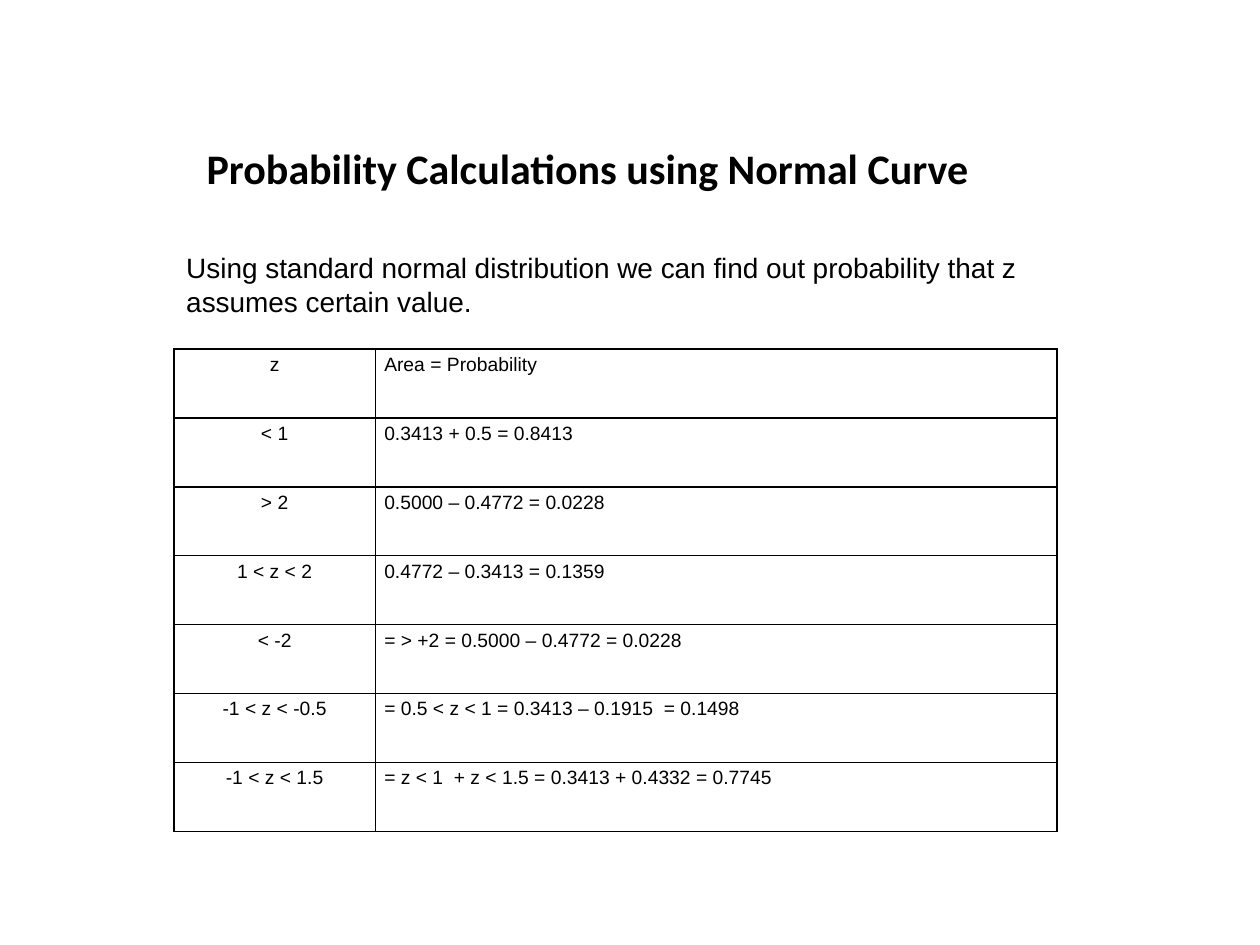
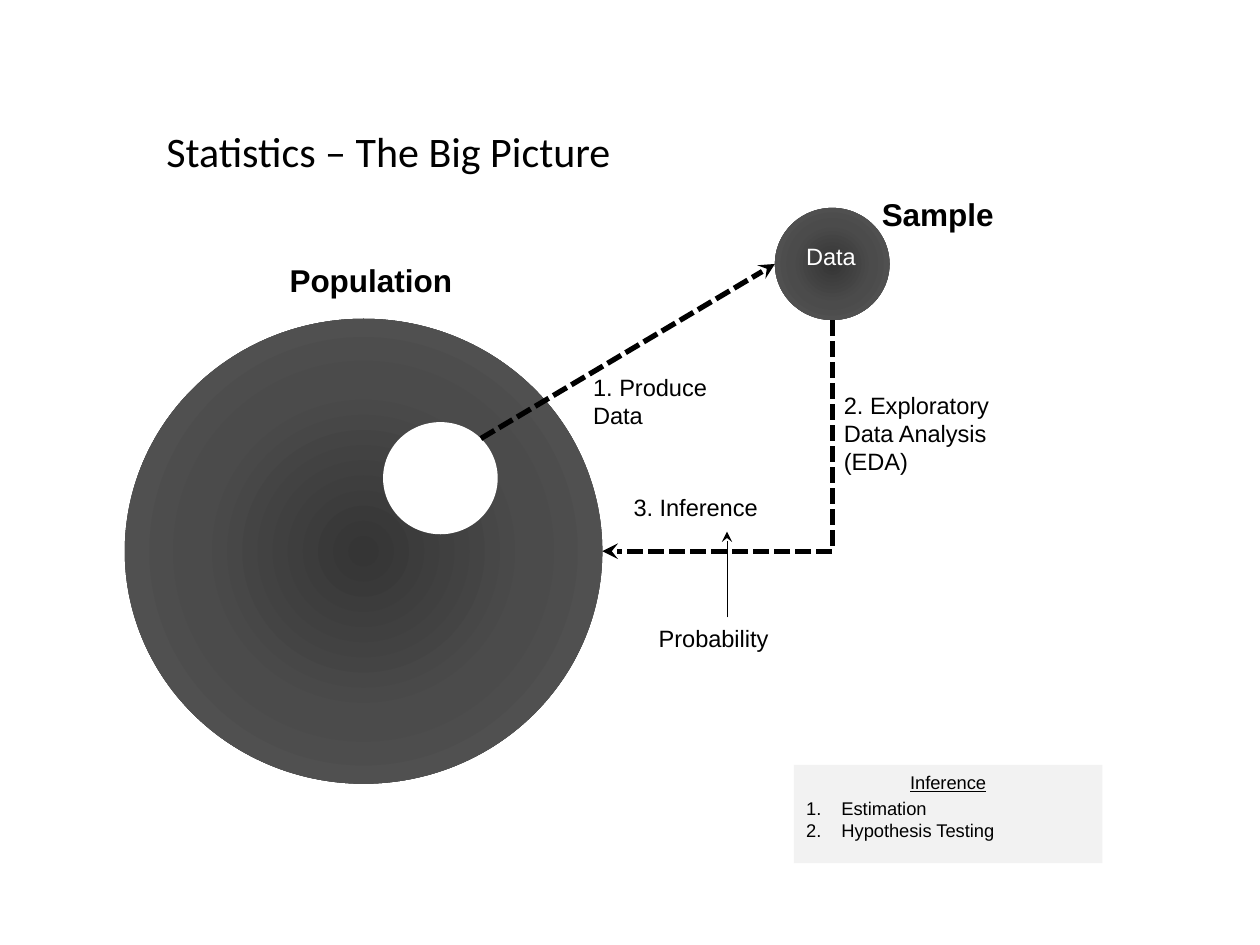
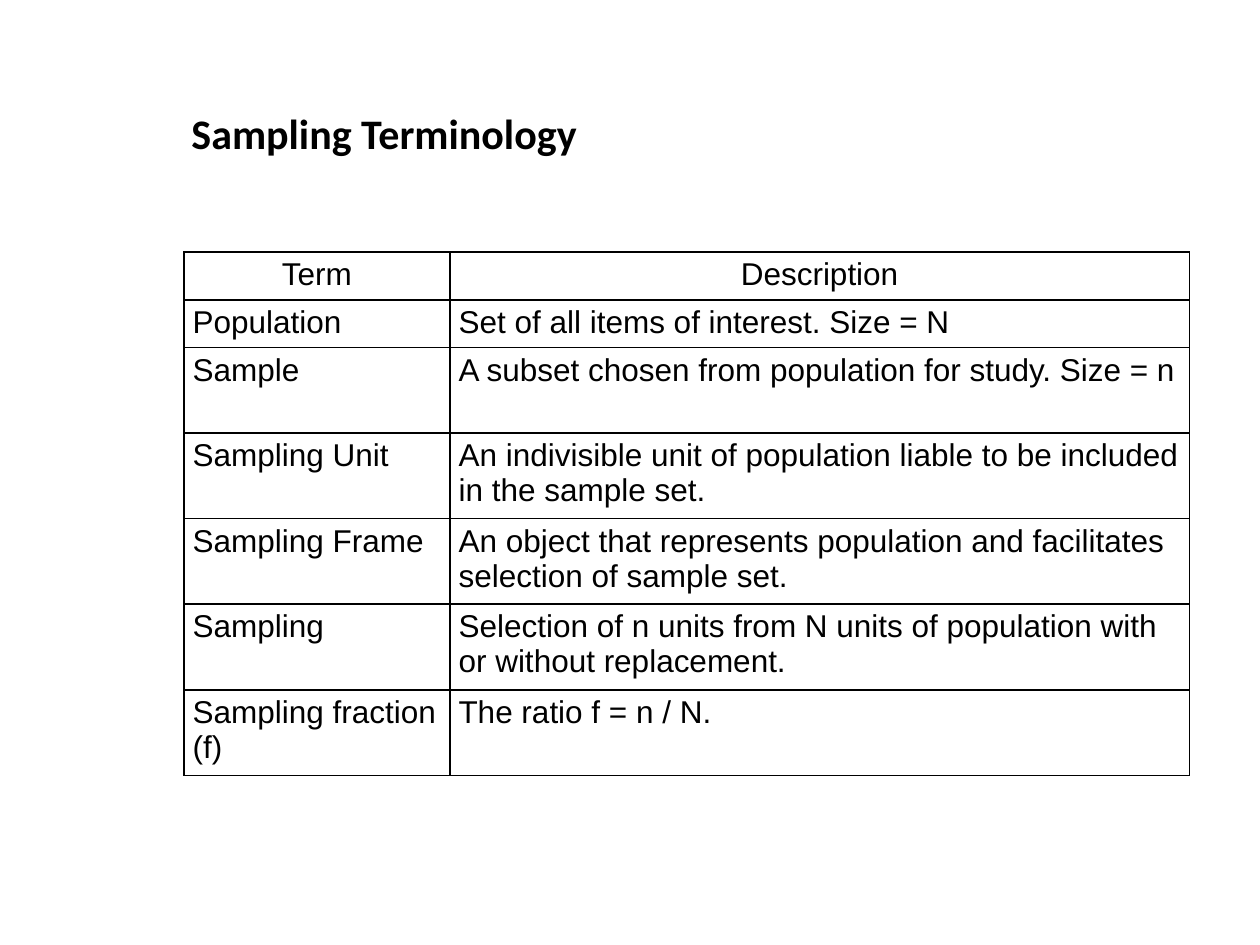
import dataclasses
import math

import lxml.etree
import pptx
import pptx.dml.color
import pptx.enum.dml
import pptx.enum.shapes
import pptx.enum.text
import pptx.oxml.ns
import pptx.util

COLUMNS, ROWS = 100, 75
SLIDE_WIDTH, SLIDE_HEIGHT = pptx.util.Inches(10), pptx.util.Inches(7.5)

BLACK = pptx.dml.color.RGBColor(0x00, 0x00, 0x00)
WHITE = pptx.dml.color.RGBColor(0xFF, 0xFF, 0xFF)
PALE_GREY = pptx.dml.color.RGBColor(0xF2, 0xF2, 0xF2)
SPHERE_STOPS = (
    (0, pptx.dml.color.RGBColor(0x35, 0x35, 0x35)),
    (50, pptx.dml.color.RGBColor(0x4B, 0x4B, 0x4B)),
    (100, pptx.dml.color.RGBColor(0x59, 0x59, 0x59)),
)

TITLE_FONT, BODY_FONT = "Calibri", "Arial"
TITLE_SIZE, NAME_SIZE, LABEL_SIZE, NOTE_SIZE = 24, 18, 13.5, 10.5
DEFAULT_INSETS, TIGHT_INSETS = (0.1, 0.05), (0.07, 0.04)
CENTER = pptx.enum.text.PP_ALIGN.CENTER
LEFT = pptx.enum.text.PP_ALIGN.LEFT
OVAL = pptx.enum.shapes.MSO_SHAPE.OVAL

PROBABILITIES = (
    ("z", "Area = Probability"),
    ("< 1", "0.3413 + 0.5 = 0.8413"),
    ("> 2", "0.5000 – 0.4772 = 0.0228"),
    ("1 < z < 2", "0.4772 – 0.3413 = 0.1359"),
    ("< -2", "= > +2 = 0.5000 – 0.4772 = 0.0228"),
    ("-1 < z < -0.5", "= 0.5 < z < 1 = 0.3413 – 0.1915  = 0.1498"),
    ("-1 < z < 1.5", "= z < 1  + z < 1.5 = 0.3413 + 0.4332 = 0.7745"),
)
TERMS = (
    ("Term", "Description"),
    ("Population", "Set of all items of interest. Size = N"),
    ("Sample", "A subset chosen from population for study. Size = n"),
    ("Sampling Unit", "An indivisible unit of population liable to be included in the sample set."),
    ("Sampling Frame", "An object that represents population and facilitates selection of sample set."),
    ("Sampling", "Selection of n units from N units of population with or without replacement."),
    ("Sampling fraction (f)", "The ratio f = n / N."),
)


def across(columns):
    return round(SLIDE_WIDTH * columns / COLUMNS)


def down(rows):
    return round(SLIDE_HEIGHT * rows / ROWS)


@dataclasses.dataclass
class Box:
    """A region of the slide grid, in columns and rows."""
    left: float
    top: float
    width: float
    height: float

    def inside(self, left, top, width, height):
        return Box(self.left + left, self.top + top, width, height)

    def edge(self, degrees):
        """Point on the inscribed ellipse, counted clockwise from the right."""
        angle = math.radians(degrees)
        return (self.left + self.width / 2 * (1 + math.cos(angle)),
                self.top + self.height / 2 * (1 + math.sin(angle)))

    def lengths(self):
        return across(self.left), down(self.top), across(self.width), down(self.height)


def write(frame, text, size=LABEL_SIZE, font=BODY_FONT, color=BLACK, bold=False,
          underline=False, align=LEFT, line_spacing=None, space_after=None, numbered=False):
    """Append each line of the text to the frame as a paragraph."""
    for line in text.split("\n"):
        paragraph = frame.paragraphs[-1]
        if paragraph.runs:
            paragraph = frame.add_paragraph()
        paragraph.alignment = align
        if line_spacing:
            paragraph.line_spacing = line_spacing
        if space_after:
            paragraph.space_after = pptx.util.Pt(space_after)
        if numbered:
            number_paragraph(paragraph)
        run = paragraph.add_run()
        run.text = line
        run.font.name = font
        run.font.size = pptx.util.Pt(size)
        run.font.color.rgb = color
        run.font.bold = bold
        run.font.underline = underline


def number_paragraph(paragraph):
    indent = pptx.util.Inches(0.28)
    properties = paragraph._p.get_or_add_pPr()
    properties.set("marL", str(indent))
    properties.set("indent", str(-indent))
    add_element(properties, "a:buFont", typeface="+mj-lt")
    add_element(properties, "a:buAutoNum", type="arabicPeriod")


def add_element(parent, tag, **attributes):
    return lxml.etree.SubElement(parent, pptx.oxml.ns.qn(tag), attributes)


def add_text(slide, box, text, insets=DEFAULT_INSETS,
             anchor=pptx.enum.text.MSO_ANCHOR.TOP, **text_format):
    frame = slide.shapes.add_textbox(*box.lengths()).text_frame
    frame.word_wrap = True
    frame.vertical_anchor = anchor
    frame.margin_left = frame.margin_right = pptx.util.Inches(insets[0])
    frame.margin_top = frame.margin_bottom = pptx.util.Inches(insets[1])
    write(frame, text, **text_format)


def add_title(slide, box, text, **text_format):
    add_text(slide, box, text, insets=TIGHT_INSETS, anchor=pptx.enum.text.MSO_ANCHOR.MIDDLE,
             size=TITLE_SIZE, font=TITLE_FONT, line_spacing=0.9, **text_format)


def add_filled_shape(slide, kind, box, color):
    shape = slide.shapes.add_shape(kind, *box.lengths())
    shape.shadow.inherit = False
    shape.line.fill.background()
    shape.fill.solid()
    shape.fill.fore_color.rgb = color
    return shape


def add_sphere(slide, box):
    """Ellipse shaded from a dark middle to a lighter rim."""
    shape = add_filled_shape(slide, OVAL, box, SPHERE_STOPS[0][1])
    flat_fill = shape.element.spPr.find(pptx.oxml.ns.qn("a:solidFill"))
    gradient = lxml.etree.Element(pptx.oxml.ns.qn("a:gradFill"), rotWithShape="1")
    stops = add_element(gradient, "a:gsLst")
    for percent, color in SPHERE_STOPS:
        stop = add_element(stops, "a:gs", pos=str(percent * 1000))
        add_element(stop, "a:srgbClr", val=str(color))
    circle = add_element(gradient, "a:path", path="circle")
    add_element(circle, "a:fillToRect", l="50000", t="50000", r="50000", b="50000")
    shape.element.spPr.replace(flat_fill, gradient)


def add_line(slide, start, end, width=3, dashed=True, arrow=True):
    connector = slide.shapes.add_connector(
        pptx.enum.shapes.MSO_CONNECTOR.STRAIGHT,
        across(start[0]), down(start[1]), across(end[0]), down(end[1]))
    connector.line.color.rgb = BLACK
    connector.line.width = pptx.util.Pt(width)
    if dashed:
        connector.line.dash_style = pptx.enum.dml.MSO_LINE.SQUARE_DOT
    if arrow:
        add_element(connector.get_or_add_ln(), "a:tailEnd", type="stealth")
    add_element(connector.element.spPr, "a:effectLst")


def add_cell_borders(cell):
    properties = cell._tc.get_or_add_tcPr()
    for side in ("a:lnL", "a:lnR", "a:lnT", "a:lnB"):
        border = add_element(properties, side, w=str(pptx.util.Pt(1)))
        add_element(add_element(border, "a:solidFill"), "a:srgbClr", val=str(BLACK))


def add_grid_table(slide, box, records, first_width, row_heights, size, is_centered):
    """Two-column ruled table; is_centered(row, column) picks the centred cells."""
    table = slide.shapes.add_table(len(records), 2, *box.lengths()).table
    table.first_row = table.horz_banding = False
    for column, width in zip(table.columns, (first_width, box.width - first_width)):
        column.width = across(width)
    for row_index, (record, height) in enumerate(zip(records, row_heights)):
        table.rows[row_index].height = down(height)
        for column_index, text in enumerate(record):
            cell = table.cell(row_index, column_index)
            cell.margin_left = cell.margin_right = pptx.util.Inches(TIGHT_INSETS[0])
            cell.margin_top = cell.margin_bottom = pptx.util.Inches(TIGHT_INSETS[1])
            add_cell_borders(cell)
            cell.fill.background()
            write(cell.text_frame, text, size=size,
                  align=CENTER if is_centered(row_index, column_index) else LEFT)


def add_inference_note(slide, box):
    note = add_filled_shape(slide, pptx.enum.shapes.MSO_SHAPE.RECTANGLE, box, PALE_GREY)
    frame = note.text_frame
    frame.word_wrap = True
    frame.vertical_anchor = pptx.enum.text.MSO_ANCHOR.TOP
    write(frame, "Inference", size=NOTE_SIZE, underline=True, align=CENTER, space_after=2.2)
    write(frame, "Estimation\nHypothesis Testing", size=NOTE_SIZE, numbered=True)


def add_big_picture(slide, box):
    """Loop from population to sample and back by inference."""
    population = box.inside(0, 10.3, 37.9, 36.9)
    sample = box.inside(51.6, 1.5, 9.1, 8.9)
    drawn_share = box.inside(20.5, 18.5, sample.width, sample.height)
    add_sphere(slide, population)
    add_sphere(slide, sample)
    add_filled_shape(slide, OVAL, drawn_share, WHITE)

    corner = (sample.edge(90)[0], population.edge(0)[1])
    add_line(slide, drawn_share.edge(-45), sample.edge(180))
    add_line(slide, sample.edge(90), corner, arrow=False)
    add_line(slide, corner, population.edge(0))
    probability_column = box.left + 47.8
    add_line(slide, (probability_column, box.top + 34), (probability_column, box.top + 27.2),
             width=0.5, dashed=False)

    for text, place in (("Population", (12.1, 5.2, 18.3, 4.8)), ("Sample", (59.1, 0, 13.3, 4.8))):
        add_text(slide, box.inside(*place), text, size=NAME_SIZE, bold=True)
    for text, place in (
        ("1. Produce Data", (36.2, 14.1, 12.4, 9.3)),
        ("2. Exploratory Data Analysis\n(EDA)", (56.1, 15.5, 16.7, 9.3)),
        ("3. Inference", (39.4, 23.6, 16.7, 3.9)),
        ("Probability", (41.4, 34, 14.7, 3.9)),
    ):
        add_text(slide, box.inside(*place), text)
    add_text(slide, box.inside(53.1, 3.7, 6.8, 6.6), "Data", color=WHITE)
    add_inference_note(slide, box.inside(53.1, 45.7, 24.5, 7.8))


def build_normal_curve_slide(slide):
    add_text(slide, Box(5.1, 10.8, 83.1, 4.4), "Probability Calculations using Normal Curve",
             size=TITLE_SIZE, font=TITLE_FONT, bold=True, align=CENTER)
    body = Box(13.8, 19.4, 70.1, 46.6)
    add_text(slide, body.inside(0, 0, 69.6, 6.4),
             "Using standard normal distribution we can find out probability that z "
             "assumes certain value.", size=16)
    row_heights = [5.47] * len(PROBABILITIES)
    add_grid_table(slide, body.inside(0, 8.3, body.width, sum(row_heights)), PROBABILITIES,
                   16, row_heights, 11, lambda row, column: column == 0)


def build_big_picture_slide(slide):
    add_title(slide, Box(12.5, 9.4, 75, 5.6), "Statistics – The Big Picture")
    add_big_picture(slide, Box(9.9, 15, 77.6, 53.5))


def build_terminology_slide(slide):
    add_title(slide, Box(14.5, 8, 75, 5.6), "Sampling Terminology", bold=True)
    row_heights = [3.75] * 2 + [6.75] * (len(TERMS) - 2)
    add_grid_table(slide, Box(14.6, 20, 79.8, sum(row_heights)), TERMS,
                   21.1, row_heights, NAME_SIZE, lambda row, column: row == 0)


def main():
    presentation = pptx.Presentation()
    presentation.slide_width, presentation.slide_height = SLIDE_WIDTH, SLIDE_HEIGHT
    blank = presentation.slide_layouts[6]
    for build in (build_normal_curve_slide, build_big_picture_slide, build_terminology_slide):
        build(presentation.slides.add_slide(blank))
    presentation.save("out.pptx")


if __name__ == "__main__":
    main()
